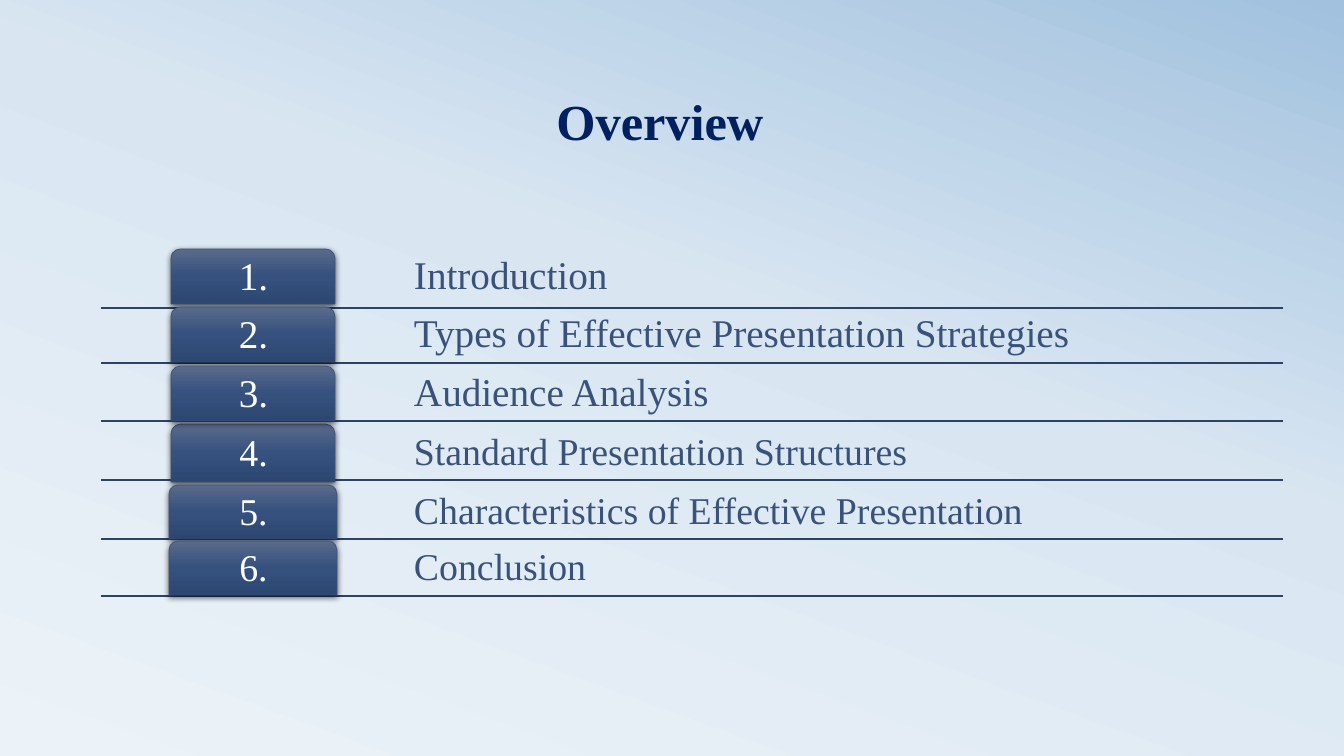
from lxml.etree import SubElement
from pptx import Presentation
from pptx.dml.color import RGBColor
from pptx.enum.shapes import MSO_CONNECTOR as Connector, MSO_SHAPE as Shape
from pptx.enum.text import MSO_ANCHOR as Anchor, MSO_AUTO_SIZE as AutoSize, PP_ALIGN as Align
from pptx.oxml.ns import qn
from pptx.util import Emu, Pt

EMU_PER_PX = 914400 / 100.8

TAB_STOPS = [(0, "5A6A8B"), (50, "36517E"), (100, "2D4773")]
BACKGROUND_STOPS = [(0, "ECF3F8"), (58, "D9E6F2"), (100, "A1C1DE")]

# number, topic, tab left, tab top, tab width, tab height, rule height on the slide
UPPER_TOPICS = [
    (1, "Introduction", 171, 249, 164, 55, 308),
    (2, "Types of Effective Presentation Strategies", 171, 307, 164, 55, 363),
    (3, "Audience Analysis", 171, 366, 164, 55, 421),
]
LOWER_TOPICS = [
    (4, "Standard Presentation Structures", 171, 424, 164, 58, 480),
    (5, "Characteristics of Effective Presentation", 169, 485, 168, 54, 539),
    (6, "Conclusion", 169, 541, 168, 54, 596),
]


def px(length):
    return Emu(round(length * EMU_PER_PX))


def color(hex_value):
    return RGBColor.from_string(hex_value)


def set_gradient(fill, owner, stops, angle):
    """Fill with (percent, colour) stops; owner is the XML element around the fill."""
    fill.gradient()
    fill.gradient_angle = 360 - angle
    stop_list = owner.find(".//" + qn("a:gsLst"))
    for old_stop in list(stop_list):
        stop_list.remove(old_stop)
    for percent, hex_value in stops:
        stop = SubElement(stop_list, qn("a:gs"), pos=str(percent * 1000))
        SubElement(stop, qn("a:srgbClr"), val=hex_value)


class OverviewSlide:
    font = "Times New Roman"
    title_color = "002060"
    topic_color = "39527B"
    rule_color = "2E4263"

    def __init__(self, presentation):
        self.slide = presentation.slides.add_slide(presentation.slide_layouts[6])
        self.shapes = self.slide.shapes
        set_gradient(self.slide.background.fill, self.slide.element, BACKGROUND_STOPS, 290)

    def text(self, words, left, top, width, height, *, size, fill, bold=False,
             align=Align.LEFT, anchor=Anchor.TOP, inset=(6, 6), spacing=0.9,
             grow=False):
        box = self.shapes.add_textbox(px(left), px(top), px(width), px(height))
        frame = box.text_frame
        frame.word_wrap = True
        frame.auto_size = AutoSize.SHAPE_TO_FIT_TEXT if grow else AutoSize.NONE
        frame.vertical_anchor = anchor
        frame.margin_left = frame.margin_right = px(inset[0])
        frame.margin_top = frame.margin_bottom = px(inset[1])
        paragraph = frame.paragraphs[0]
        paragraph.alignment = align
        paragraph.line_spacing = spacing
        run = paragraph.add_run()
        run.text = words
        run.font.name = self.font
        run.font.size = Pt(size)
        run.font.bold = bold
        run.font.color.rgb = color(fill)

    def title(self, words):
        self.text(words, 529, 85, 262, 72, size=36, fill=self.title_color, bold=True,
                  align=Align.CENTER, inset=(10, 5), spacing=1.0, grow=True)

    def rule(self, y):
        line = self.shapes.add_connector(Connector.STRAIGHT, px(101), px(y), px(1283), px(y))
        line.line.color.rgb = color(self.rule_color)
        line.line.width = Pt(1)
        SubElement(line.element.spPr, qn("a:effectLst"))

    def tab(self, left, top, width, height):
        tab = self.shapes.add_shape(Shape.ROUND_2_SAME_RECTANGLE,
                                    px(left), px(top), px(width), px(height))
        tab.adjustments[0] = 0.167
        tab.adjustments[1] = 0
        set_gradient(tab.fill, tab.element, TAB_STOPS, 90)
        tab.line.color.rgb = color(self.topic_color)
        tab.line.width = Pt(0.5)
        tab.shadow.inherit = False
        effects = tab.element.spPr.find(qn("a:effectLst"))
        shadow = SubElement(effects, qn("a:outerShdw"), blurRad=str(Pt(4.5)),
                            dist=str(Pt(1.5)), dir="5400000", rotWithShape="0")
        shade = SubElement(shadow, qn("a:srgbClr"), val="000000")
        SubElement(shade, qn("a:alpha"), val="63000")

    def topic_group(self, topics, size):
        """Group the rules, then each topic with its numbered tab above them."""
        self.shapes = self.slide.shapes.add_group_shape().shapes
        for *_, rule_y in reversed(topics):
            self.rule(rule_y)
        for number, topic, left, top, width, height, rule_y in topics:
            topic_height = min(top + height, rule_y) - top
            self.text(topic, 408, top, 875, topic_height, size=size,
                      fill=self.topic_color, anchor=Anchor.BOTTOM)
            self.tab(left, top, width, height)
            self.text(f"{number}.", left + 3, top + 3, width - 5, height - 3, size=size,
                      fill="FFFFFF", align=Align.CENTER, anchor=Anchor.MIDDLE)
        self.shapes = self.slide.shapes


def main():
    presentation = Presentation()
    presentation.slide_width = px(1344)
    presentation.slide_height = px(756)
    overview = OverviewSlide(presentation)
    overview.title("Overview")
    overview.topic_group(LOWER_TOPICS, size=27)
    overview.topic_group(UPPER_TOPICS, size=28)
    presentation.save("out.pptx")


if __name__ == "__main__":
    main()
